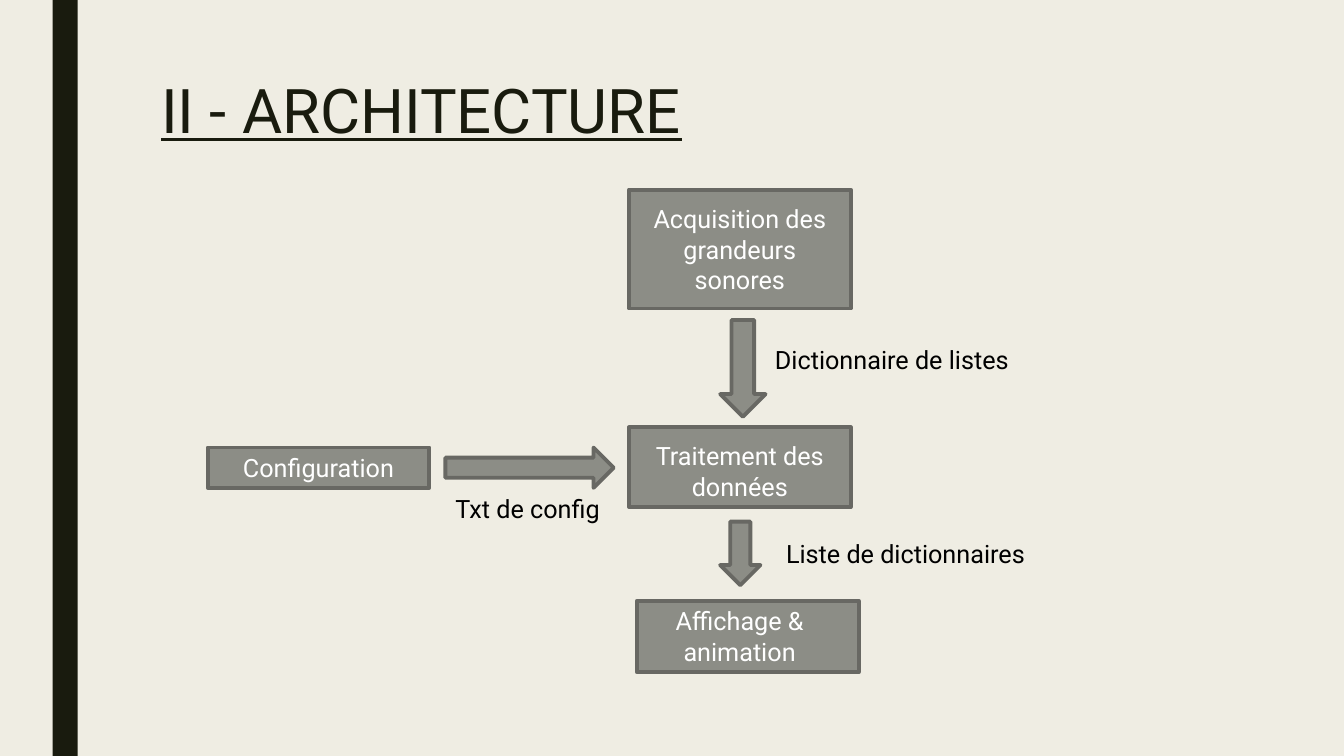
from pptx import Presentation
from pptx.dml.color import RGBColor
from pptx.enum.shapes import MSO_SHAPE
from pptx.enum.text import MSO_ANCHOR, PP_ALIGN
from pptx.util import Pt

RECTANGLE = MSO_SHAPE.RECTANGLE
RIGHT_ARROW = MSO_SHAPE.RIGHT_ARROW
DOWN_ARROW = MSO_SHAPE.DOWN_ARROW
TOP = MSO_ANCHOR.TOP
LEFT = PP_ALIGN.LEFT
CENTER = PP_ALIGN.CENTER

CREAM = RGBColor(0xEF, 0xED, 0xE3)
DARK = RGBColor(0x19, 0x1B, 0x0E)
GREY = RGBColor(0x8C, 0x8D, 0x86)
OUTLINE = RGBColor(0x68, 0x68, 0x63)
WHITE = RGBColor(0xFF, 0xFF, 0xFF)
BLACK = RGBColor(0x00, 0x00, 0x00)

FONT = "Roboto"
STEP_WIDTH = 158.4
SIDE_MARGINS = 26
LINE_HEIGHT = 28.8


def write(shape, text, size, color, align):
    frame = shape.text_frame
    frame.word_wrap = True
    frame.vertical_anchor = TOP
    para = frame.paragraphs[0]
    para.alignment = align
    span = para.add_run()
    span.text = text
    span.font.size = Pt(size)
    span.font.name = FONT
    span.font.color.rgb = color
    return para, span


def add_block(page, kind, left, top, width, height, fill=GREY, outline=OUTLINE):
    block = page.shapes.add_shape(kind, Pt(left), Pt(top), Pt(width), Pt(height))
    block.shadow.inherit = False
    block.fill.solid()
    block.fill.fore_color.rgb = fill
    if outline is None:
        block.line.fill.background()
    else:
        block.line.color.rgb = outline
        block.line.width = Pt(2.75)
    return block


def add_step(page, text, left, top, height, margin_left=13, margin_top=3.6):
    box = add_block(page, RECTANGLE, left, top, STEP_WIDTH, height)
    frame = box.text_frame
    frame.margin_left = Pt(margin_left)
    frame.margin_right = Pt(SIDE_MARGINS - margin_left)
    frame.margin_top = Pt(margin_top)
    frame.margin_bottom = Pt(0)
    write(box, text, 18, WHITE, CENTER)


def add_label(page, text, left, top, width):
    box = page.shapes.add_textbox(Pt(left), Pt(top), Pt(width), Pt(LINE_HEIGHT))
    write(box, text, 18, BLACK, LEFT)


def set_title(page, text):
    title = page.shapes.title
    title.left, title.top = Pt(108), Pt(54)
    title.width, title.height = Pt(756), Pt(116.6)
    para, span = write(title, text, 44, DARK, LEFT)
    para.line_spacing = 0.89
    span.font.underline = True


def main():
    deck = Presentation()
    deck.slide_width, deck.slide_height = Pt(960), Pt(540)
    page = deck.slides.add_slide(deck.slide_layouts[5])
    page.background.fill.solid()
    page.background.fill.fore_color.rgb = CREAM

    add_block(page, RECTANGLE, 37.5, 0, 18, 540, DARK, None)
    set_title(page, "II - ARCHITECTURE")

    add_step(page, "Acquisition des grandeurs sonores", 449.3, 135.4, 85, margin_top=10.1)
    add_step(page, "Traitement des données", 449.3, 305.3, 56.9, margin_top=9.4)
    add_step(page, "Configuration", 148.3, 319.7, LINE_HEIGHT)
    add_step(page, "Affichage & animation", 455, 429.1, 51.1, margin_left=7.2)

    add_block(page, RIGHT_ARROW, 318.2, 319.7, 120.2, 28.8)
    add_block(page, DOWN_ARROW, 514.4, 228.6, 32.4, 69.1)
    add_block(page, DOWN_ARROW, 514.4, 372.6, 28.8, 45.4)

    add_label(page, "Dictionnaire de listes", 546.5, 242.6, 309.6)
    add_label(page, "Txt de config", 318.2, 348.5, 131.8)
    add_label(page, "Liste de dictionnaires", 554.4, 380.9, 309.6)

    deck.save("out.pptx")


if __name__ == "__main__":
    main()
